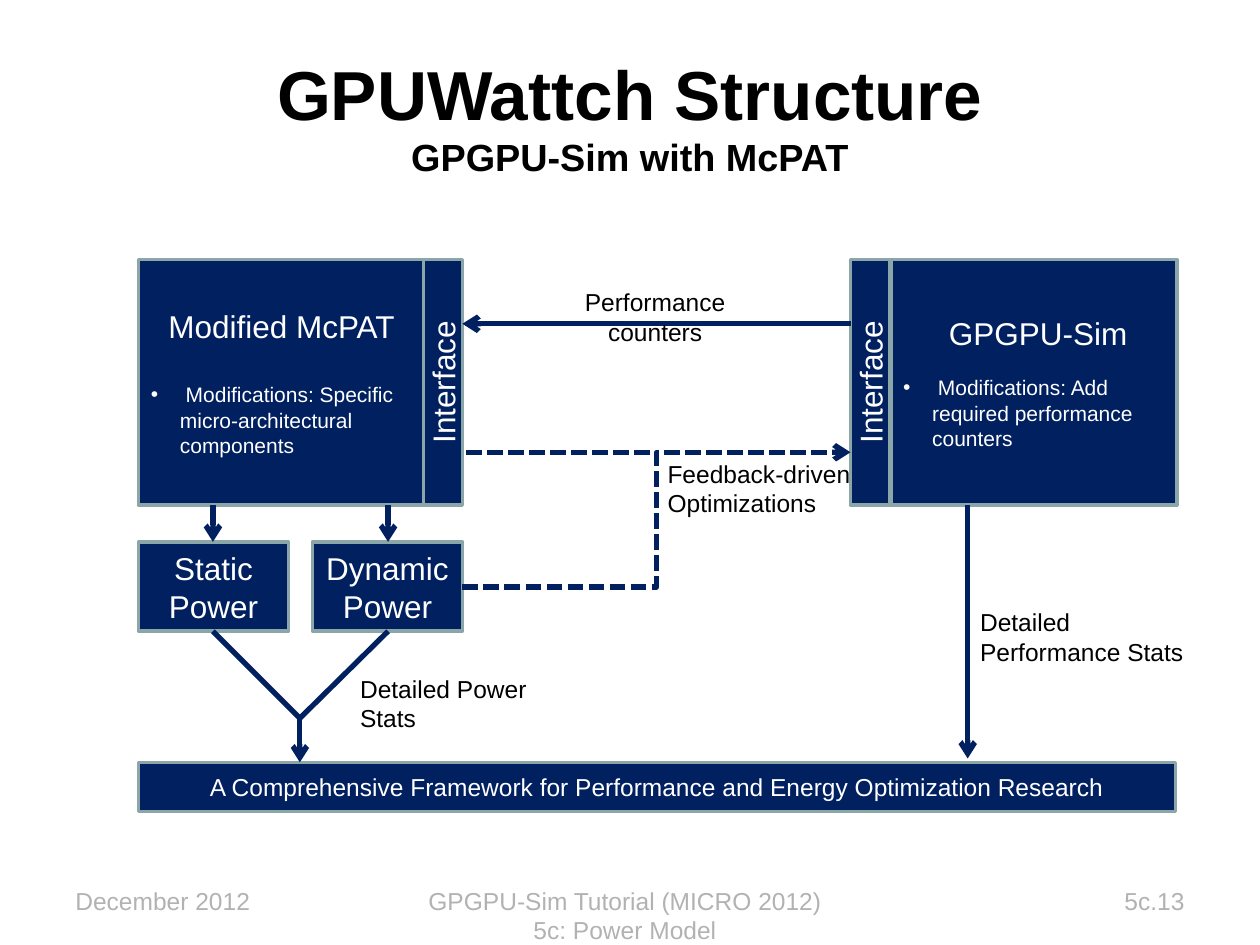
from dataclasses import dataclass

import pptx
import pptx.util
import pptx.dml.color
import pptx.enum.dml
import pptx.enum.shapes
import pptx.enum.text
import pptx.oxml
import pptx.oxml.ns

Inches, Pt = pptx.util.Inches, pptx.util.Pt
RGBColor = pptx.dml.color.RGBColor
PP_ALIGN = pptx.enum.text.PP_ALIGN
ANCHOR = pptx.enum.text.MSO_ANCHOR
CONNECTOR = pptx.enum.shapes.MSO_CONNECTOR
qn = pptx.oxml.ns.qn

NAVY = RGBColor(0x00, 0x20, 0x60)
SAGE = RGBColor(0x8A, 0xA6, 0xA8)
WHITE = RGBColor(0xFF, 0xFF, 0xFF)
BLACK = RGBColor(0, 0, 0)
GRAY = RGBColor(0xB2, 0xB2, 0xB2)


@dataclass
class Box:
    text: str
    left: float
    top: float
    width: float
    height: float
    size: float = 18
    bullet: str = ""
    gap: float = 0
    vertical: bool = False


@dataclass
class Label:
    text: str
    left: float
    top: float
    width: float
    height: float
    align: PP_ALIGN = PP_ALIGN.LEFT
    color: RGBColor = BLACK
    wrap: bool = True


@dataclass
class Line:
    x1: float
    y1: float
    x2: float
    y2: float
    arrow: bool = True
    dashed: bool = False
    kind: CONNECTOR = CONNECTOR.STRAIGHT


def add_run(p, text: str, size: float, color: RGBColor, bold: bool = False) -> None:
    r = p.add_run()
    r.text = text
    for name, value in {"name": "Arial", "size": Pt(size), "bold": bold}.items():
        setattr(r.font, name, value)
    r.font.color.rgb = color


def add_bullet(tf, text: str, gap: float) -> None:
    p = tf.add_paragraph()
    p.alignment = PP_ALIGN.LEFT
    p.space_before = Pt(gap)
    add_run(p, text, 12, WHITE)
    pPr = p._p.get_or_add_pPr()
    indent = Inches(0.23)
    pPr.set("marL", str(indent))
    pPr.set("indent", str(-indent))
    pptx.oxml.ns  # bullet elements follow the spacing element
    for tag, key, value in (("a:buFont", "typeface", "Arial"), ("a:buChar", "char", "•")):
        pPr.append(pptx.oxml.parse_xml(
            f'<{tag} {pptx.oxml.ns.nsdecls("a")} {key}="{value}"/>'))


def add_box(slide, box: Box) -> None:
    sp = slide.shapes.add_shape(
        pptx.enum.shapes.MSO_SHAPE.RECTANGLE,
        *map(Inches, (box.left, box.top, box.width, box.height)))
    sp.shadow.inherit = False
    sp.fill.solid()
    sp.fill.fore_color.rgb = NAVY
    sp.line.color.rgb = SAGE
    sp.line.width = Pt(2)
    tf = sp.text_frame
    tf.word_wrap = True
    tf.vertical_anchor = ANCHOR.MIDDLE
    p = tf.paragraphs[0]
    p.alignment = PP_ALIGN.CENTER
    add_run(p, box.text, box.size, WHITE)
    if box.bullet:
        add_bullet(tf, box.bullet, box.gap)
    if box.vertical:
        tf._txBody.bodyPr.set("vert", "vert270")


def add_line(slide, line: Line) -> None:
    cxn = slide.shapes.add_connector(
        line.kind, *map(Inches, (line.x1, line.y1, line.x2, line.y2)))
    cxn.line.color.rgb = NAVY
    cxn.line.width = Pt(3)
    if line.dashed:
        cxn.line.dash_style = pptx.enum.dml.MSO_LINE.SQUARE_DOT
    if line.arrow:
        tail = cxn.line._get_or_add_ln().makeelement(qn("a:tailEnd"), {"type": "arrow"})
        cxn.line._get_or_add_ln().append(tail)
    spPr = cxn._element.spPr
    spPr.append(spPr.makeelement(qn("a:effectLst"), {}))


def add_label(slide, label: Label) -> None:
    sp = slide.shapes.add_textbox(
        *map(Inches, (label.left, label.top, label.width, label.height)))
    tf = sp.text_frame
    tf.word_wrap = label.wrap
    p = tf.paragraphs[0]
    for i, text in enumerate(label.text.split("\n")):
        if i:
            p.add_line_break()
        add_run(p, text, 14, label.color)
    p.alignment = label.align


def set_title(slide) -> None:
    title = slide.shapes.title
    place = {"left": 0.5, "top": 0.33, "width": 9, "height": 1.17}
    for name, value in place.items():
        setattr(title, name, Inches(value))
    tf = title.text_frame
    tf.vertical_anchor = ANCHOR.MIDDLE
    p = tf.paragraphs[0]
    p.alignment = PP_ALIGN.CENTER
    add_run(p, "GPUWattch Structure", 39.6, BLACK, True)
    p.add_line_break()
    add_run(p, "GPGPU-Sim with McPAT", 21.6, BLACK, True)


# Shared edges of the diagram
LEFT, TOP, BOTTOM = 1.1, 2.06, 4.01
MCPAT_EDGE, SIM_EDGE = 3.67, 6.75
STATIC_X, DYNAMIC_X, MERGE_X, STATS_X = 1.69, 3.08, 2.38, 7.68
POWER_TOP, POWER_BOTTOM, MERGE_Y, FRAME_TOP = 4.3, 5.01, 5.7, 6.05
FEEDBACK_Y, COUNTERS_Y, FOOTER_Y = 3.59, 2.57, 6.98

BOXES = [
    Box("Modified McPAT", LEFT, TOP, 2.27, 1.95, gap=21,
        bullet=" Modifications: Specific micro-architectural components"),
    Box(" GPGPU-Sim", 7.07, TOP, 2.27, 1.95, gap=13,
        bullet=" Modifications: Add required performance counters"),
    Box("A Comprehensive Framework for Performance and Energy Optimization Research",
        LEFT, FRAME_TOP, 8.23, 0.39, size=14),
    Box("Interface", 3.36, TOP, 0.31, 1.95, vertical=True),
    Box("Interface", SIM_EDGE, TOP, 0.31, 1.95, vertical=True),
    Box("Static Power", LEFT, POWER_TOP, 1.19, 0.71),
    Box("Dynamic Power", 2.48, POWER_TOP, 1.19, 0.71),
]
LINES = [
    Line(STATIC_X, BOTTOM, STATIC_X, POWER_TOP),
    Line(DYNAMIC_X, BOTTOM, DYNAMIC_X, POWER_TOP),
    Line(MCPAT_EDGE, 4.66, SIM_EDGE, FEEDBACK_Y, dashed=True, kind=CONNECTOR.ELBOW),
    Line(5.16, FEEDBACK_Y, MCPAT_EDGE, FEEDBACK_Y, arrow=False, dashed=True),
    Line(STATIC_X, POWER_BOTTOM, MERGE_X, MERGE_Y, arrow=False),
    Line(DYNAMIC_X, POWER_BOTTOM, MERGE_X, MERGE_Y, arrow=False),
    Line(MERGE_X, MERGE_Y, MERGE_X, FRAME_TOP),
    Line(STATS_X, BOTTOM, STATS_X, 6.02),
    Line(SIM_EDGE, COUNTERS_Y, MCPAT_EDGE, COUNTERS_Y),
]
LABELS = [
    Label("Detailed Power Stats", 2.76, 5.3, 1.66, 0.57),
    Label("Detailed Performance Stats", STATS_X, 4.77, 2.08, 0.57),
    Label("Feedback-driven\nOptimizations", 5.2, FEEDBACK_Y, 1.66, 0.57, wrap=False),
    Label("Performance counters", 4.2, 2.23, 2, 0.34, PP_ALIGN.CENTER),
    Label("GPGPU-Sim Tutorial (MICRO 2012) 5c: Power Model",
          3.25, FOOTER_Y, 3.42, 0.52, PP_ALIGN.CENTER, GRAY),
    Label("December 2012", 0.5, FOOTER_Y, 2.33, 0.52, color=GRAY),
    Label("5c.13", 7.17, FOOTER_Y, 2.33, 0.52, PP_ALIGN.RIGHT, GRAY),
]


def main() -> None:
    prs = pptx.Presentation()
    prs.slide_width, prs.slide_height = Inches(10), Inches(7.5)
    slide = prs.slides.add_slide(prs.slide_layouts[5])
    set_title(slide)
    for items, draw in ((BOXES, add_box), (LINES, add_line), (LABELS, add_label)):
        for item in items:
            draw(slide, item)
    prs.save("out.pptx")


if __name__ == "__main__":
    main()
